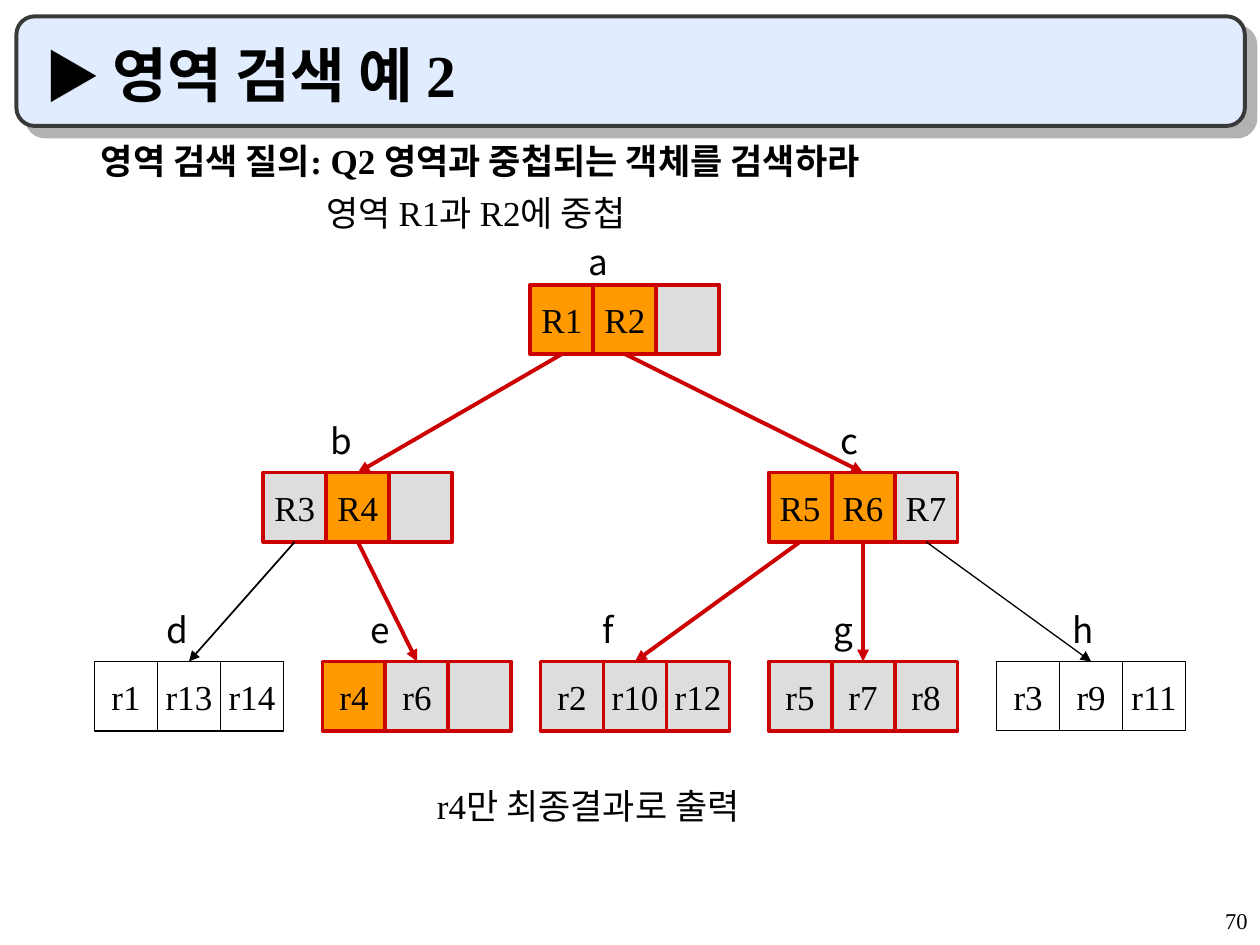
"""Build the slide that walks a region search through an R-tree."""
from lxml import etree
from pptx import Presentation, util as u
from pptx.dml import color
from pptx.enum import shapes, text
from pptx.oxml import ns

COLORS = {"ink": "000000", "banner": "E1ECFF", "edge": "393939", "shadow": "B2B2B2",
          "hit": "FF9900", "visited": "DDDDDD", "path": "CC0000"}
LATIN, KOREAN = "Times New Roman", "Noto Sans CJK KR"
CELL_W, CELL_H, LABEL_W = 0.5, 0.55, 1.18
ROOT_Y, BRANCH_Y, LEAF_Y = 2.26, 3.75, 5.25


def rgb(name):
    return color.RGBColor.from_string(COLORS[name])


def write(paragraph, content, size=20, latin=LATIN, bold=False, align=None,
          before=0, spacing=None, margin=0, indent=0):
    """Append a formatted run to a paragraph."""
    paragraph.alignment = align
    paragraph.space_before = u.Pt(before)
    paragraph.line_spacing = spacing
    props = paragraph._p.get_or_add_pPr()
    props.set("marL", str(u.Inches(margin)))
    props.set("indent", str(u.Inches(indent)))
    if props.find(ns.qn("a:buNone")) is None:
        etree.SubElement(props, ns.qn("a:buNone"))
    run = paragraph.add_run()
    run.text = content
    run.font.size, run.font.name, run.font.bold = u.Pt(size), latin, bold
    run.font.color.rgb = rgb("ink")
    etree.SubElement(run._r.get_or_add_rPr(), ns.qn("a:ea"), typeface=KOREAN)


class TreeSlide:
    """Holds the current slide and draws each kind of element in its style."""

    def __init__(self, deck):
        self.slide = deck.slides.add_slide(deck.slide_layouts[1])

    def placeholder(self, index, left, top, width, height, anchor):
        holder = self.slide.placeholders[index]
        holder.left, holder.top = u.Inches(left), u.Inches(top)
        holder.width, holder.height = u.Inches(width), u.Inches(height)
        frame = holder.text_frame
        frame.auto_size = text.MSO_AUTO_SIZE.NONE
        frame.vertical_anchor = anchor
        return frame

    def block(self, parent, kind, left, top, width, height, fill, line, weight):
        block = parent.add_shape(kind, u.Inches(left), u.Inches(top),
                                 u.Inches(width), u.Inches(height))
        block.shadow.inherit = False
        if fill:
            block.fill.solid()
            block.fill.fore_color.rgb = rgb(fill)
        else:
            block.fill.background()
        block.line.color.rgb = rgb(line)
        block.line.width = u.Pt(weight)
        return block

    def banner(self):
        banner = self.block(self.slide.shapes, shapes.MSO_SHAPE.ROUNDED_RECTANGLE,
                            0.13, 0.13, 9.75, 0.87, "banner", "edge", 2.25)
        effects = banner._element.spPr.find(ns.qn("a:effectLst"))
        shadow = etree.SubElement(effects, ns.qn("a:outerShdw"), dist=str(u.Pt(8.5)),
                                  dir="2700000", algn="ctr", rotWithShape="0")
        etree.SubElement(shadow, ns.qn("a:srgbClr"), val=COLORS["shadow"])
        self.slide.shapes._spTree.insert(2, banner._element)

    def textbox(self, content, left, top, width, height, **style):
        box = self.slide.shapes.add_textbox(u.Inches(left), u.Inches(top),
                                            u.Inches(width), u.Inches(height))
        box.text_frame.word_wrap = True
        write(box.text_frame.paragraphs[0], content, **style)

    def node(self, left, top, entries, hits=(), line="path", weight=2.25):
        """Draw one tree node and return its cells."""
        group = self.slide.shapes.add_group_shape()
        cells = []
        for i, entry in enumerate(entries):
            fill = "hit" if entry in hits else "visited" if line == "path" else None
            cell = self.block(group.shapes, shapes.MSO_SHAPE.RECTANGLE, left + i * CELL_W,
                              top, CELL_W, CELL_H, fill, line, weight)
            if entry:
                cell.text_frame.word_wrap = False
                cell.text_frame.vertical_anchor = text.MSO_ANCHOR.MIDDLE
                write(cell.text_frame.paragraphs[0], entry, align=text.PP_ALIGN.CENTER)
            cells.append(cell)
        return cells

    def label(self, name, center, node_top):
        self.textbox(name, center - LABEL_W / 2, node_top - 0.47 + 0.07 * (node_top == ROOT_Y),
                     LABEL_W, 0.44, latin=KOREAN, align=text.PP_ALIGN.CENTER)

    def arrow(self, parent, child, line="path", weight=2.25):
        arrow = self.slide.shapes.add_connector(shapes.MSO_CONNECTOR.STRAIGHT, 0, 0, 0, 0)
        arrow.begin_connect(parent, 2)
        arrow.end_connect(child, 0)
        arrow.line.color.rgb = rgb(line)
        arrow.line.width = u.Pt(weight)
        etree.SubElement(arrow.line._get_or_add_ln(), ns.qn("a:tailEnd"), type="triangle")
        etree.SubElement(arrow._element.spPr, ns.qn("a:effectLst"))


def main():
    deck = Presentation()
    deck.slide_width, deck.slide_height = u.Inches(10), u.Inches(7.5)
    page = TreeSlide(deck)
    page.banner()

    title = page.placeholder(0, 0.25, 0.25, 9.42, 0.67, text.MSO_ANCHOR.BOTTOM).paragraphs[0]
    for part, size in (("▶ ", 32), ("영역 검색 예 2", 34)):
        write(title, part, size=size, bold=True, align=text.PP_ALIGN.LEFT)

    query = page.placeholder(1, 0.2, 1.15, 8.03, 0.74, text.MSO_ANCHOR.TOP)
    write(query.paragraphs[0], "영역 검색 질의: Q2 영역과 중첩되는 객체를 검색하라",
          bold=True, spacing=0.7, margin=0.81, indent=-0.31)
    write(query.add_paragraph(), "영역 R1과 R2에 중첩", before=12.5, spacing=0.7, margin=2.29)

    hits = ("R1", "R2", "R4", "R5", "R6", "r4")
    thin, hairline = ({"line": "ink", "weight": w} for w in (1, 0.75))
    tree = (("a", 4.75, 4.21, ROOT_Y, ("R1", "R2", ""), {}),
            ("b", 2.71, 2.09, BRANCH_Y, ("R3", "R4", ""), {}),
            ("c", 6.74, 6.1, BRANCH_Y, ("R5", "R6", "R7"), {}),
            ("d", 1.41, 0.75, LEAF_Y, ("r1", "r13", "r14"), thin),
            ("e", 3.02, 2.56, LEAF_Y, ("r4", "r6", ""), {}),
            ("f", 4.83, 4.29, LEAF_Y, ("r2", "r10", "r12"), {}),
            ("g", 6.69, 6.1, LEAF_Y, ("r5", "r7", "r8"), {}),
            ("h", 8.6, 7.91, LEAF_Y, ("r3", "r9", "r11"), hairline))
    nodes = {name: page.node(left, top, entries, hits, **stroke)
             for name, _, left, top, entries, stroke in tree}
    strokes = {name: stroke for name, *_, stroke in tree}
    for parent, entry, child in (("a", 0, "b"), ("a", 1, "c"), ("b", 0, "d"), ("b", 1, "e"),
                                 ("c", 0, "f"), ("c", 1, "g"), ("c", 2, "h")):
        page.arrow(nodes[parent][entry], nodes[child][1], **strokes[child])
    for name, center, _, top, *_ in tree:
        page.label(name, center, top)

    page.textbox("r4만 최종결과로 출력", 2.87, 6.27, 4.73, 0.34,
                 spacing=0.7, margin=0.81, indent=-0.31)
    page.textbox("70", 7.92, 7.17, 2.08, 0.33, size=12.9, spacing=0.9,
                 align=text.PP_ALIGN.RIGHT)
    deck.save("out.pptx")


if __name__ == "__main__":
    main()
